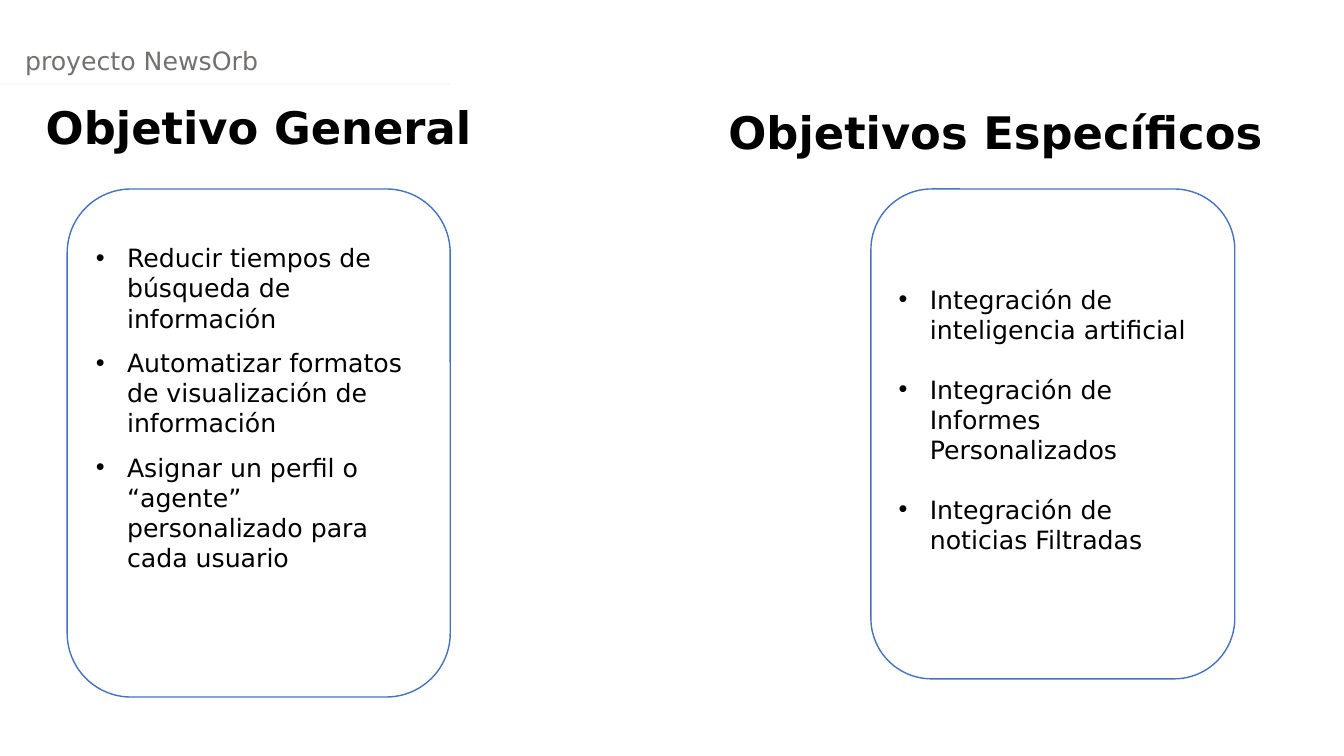
from lxml import etree
from pptx import Presentation
from pptx import util as u
from pptx.dml.color import RGBColor
from pptx.enum import shapes, text
from pptx.oxml import ns

BLACK = RGBColor(0x00, 0x00, 0x00)
WHITE = RGBColor(0xFF, 0xFF, 0xFF)
GRAY = RGBColor(0x75, 0x70, 0x70)
BLUE = RGBColor(0x44, 0x72, 0xC4)
PALE = RGBColor(0xF5, 0xF7, 0xFC)

COLUMNS, ROWS = 40, 30


class ObjectivesSlide:
    font = "DejaVu Sans"
    body_size = 18
    title_size = 32
    bullet_indent = u.Inches(0.31)

    def __init__(self, presentation):
        self.column = presentation.slide_width / COLUMNS
        self.row = presentation.slide_height / ROWS
        self.slide = presentation.slides.add_slide(presentation.slide_layouts[6])

    def place(self, left, top, width, height):
        return (round(left * self.column), round(top * self.row),
                round(width * self.column), round(height * self.row))

    def style(self, paragraph, size, color, bold=False):
        for run in paragraph.runs:
            run.font.name = self.font
            run.font.size = u.Pt(size)
            run.font.bold = bold
            run.font.color.rgb = color

    def label(self, area, words, size, color, bold=False, align=text.PP_ALIGN.LEFT):
        box = self.slide.shapes.add_textbox(*self.place(*area))
        frame = box.text_frame
        frame.word_wrap = True
        frame.auto_size = text.MSO_AUTO_SIZE.SHAPE_TO_FIT_TEXT
        frame.text = words
        paragraph = frame.paragraphs[0]
        paragraph.alignment = align
        self.style(paragraph, size, color, bold)

    def title(self, area, words):
        self.label(area, words, self.title_size, BLACK, True, text.PP_ALIGN.CENTER)

    def rule(self, left, right, row, color):
        x, y, width, _ = self.place(left, row, right - left, 0)
        line = self.slide.shapes.add_connector(
            shapes.MSO_CONNECTOR.STRAIGHT, x, y, x + width, y)
        line.line.color.rgb = color
        line.line.width = u.Pt(1.25)
        etree.SubElement(line._element.spPr, ns.qn("a:effectLst"))

    def bullet(self, paragraph):
        properties = paragraph._p.get_or_add_pPr()
        properties.set("marL", str(self.bullet_indent))
        properties.set("indent", str(-self.bullet_indent))
        color = etree.SubElement(properties, ns.qn("a:buClr"))
        etree.SubElement(color, ns.qn("a:srgbClr"), val=str(BLACK))
        etree.SubElement(properties, ns.qn("a:buFont"), typeface="Arial")
        etree.SubElement(properties, ns.qn("a:buChar"), char="•")

    def card(self, area, items, gap, bottom_inset):
        card = self.slide.shapes.add_shape(
            shapes.MSO_SHAPE.ROUNDED_RECTANGLE, *self.place(*area))
        card.shadow.inherit = False
        card.fill.solid()
        card.fill.fore_color.rgb = WHITE
        card.line.color.rgb = BLUE
        card.line.width = u.Pt(1)
        frame = card.text_frame
        frame.word_wrap = True
        frame.vertical_anchor = text.MSO_ANCHOR.MIDDLE
        frame.margin_bottom = u.Inches(bottom_inset)
        frame.text = "\n".join(items)
        for index, paragraph in enumerate(frame.paragraphs):
            paragraph.alignment = text.PP_ALIGN.LEFT
            paragraph.space_before = u.Pt(gap if index else 0)
            self.bullet(paragraph)
            self.style(paragraph, self.body_size, BLACK)


def main():
    presentation = Presentation()
    presentation.slide_width = u.Inches(13.33)
    presentation.slide_height = u.Inches(7.5)

    slide = ObjectivesSlide(presentation)
    slide.label((0.45, 1.6, 39.55, 1.64), "proyecto NewsOrb", slide.body_size, GRAY)
    slide.title((0, 3.76, 15.4, 2.56), "Objetivo General")
    slide.rule(0, 13.4, 3.32, PALE)
    slide.title((19.26, 3.96, 20.74, 2.56), "Objetivos Específicos")
    slide.card((2, 7.5, 11.4, 20.16), [
        "Reducir tiempos de búsqueda de información",
        "Automatizar formatos de visualización de información",
        "Asignar un perfil o “agente” personalizado para cada usuario",
    ], gap=10, bottom_inset=0.75)
    slide.card((25.92, 7.5, 10.83, 19.44), [
        "Integración de inteligencia artificial",
        "Integración de Informes Personalizados",
        "Integración de noticias Filtradas",
    ], gap=21, bottom_inset=0.34)

    presentation.save("out.pptx")


if __name__ == "__main__":
    main()
